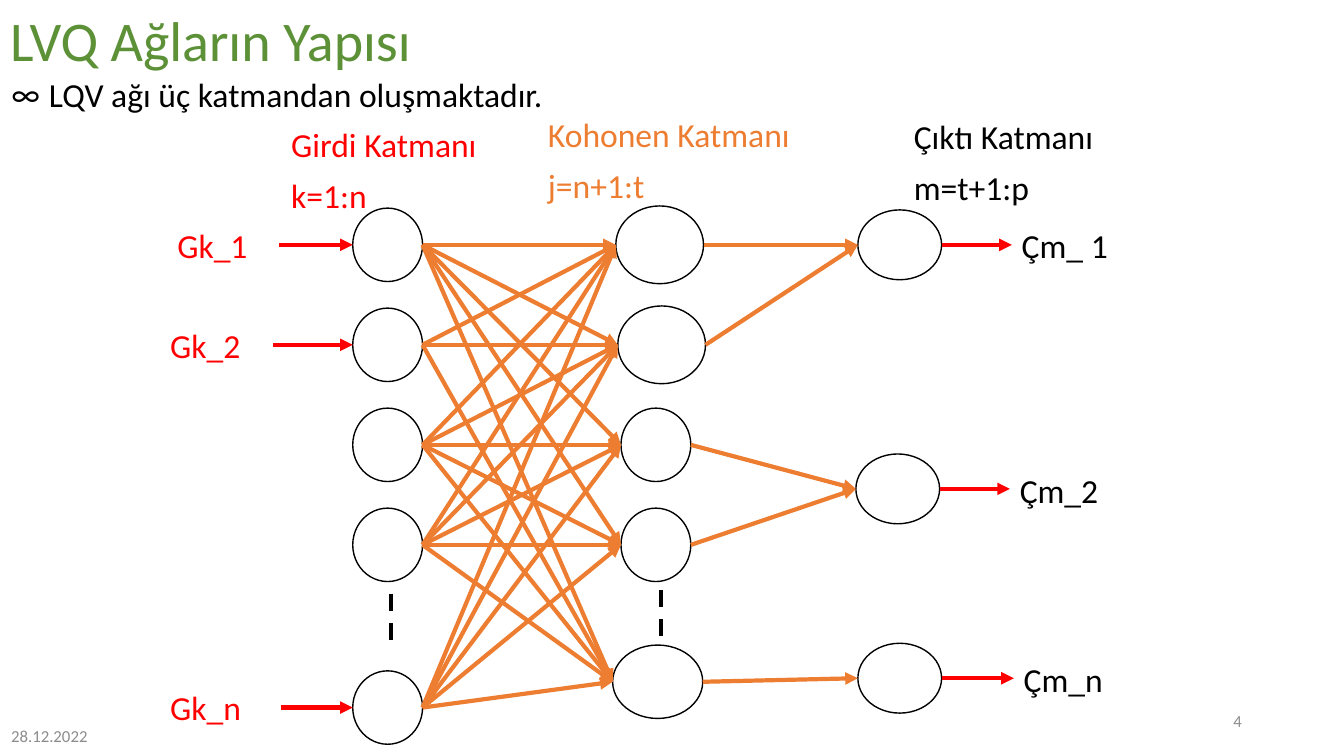
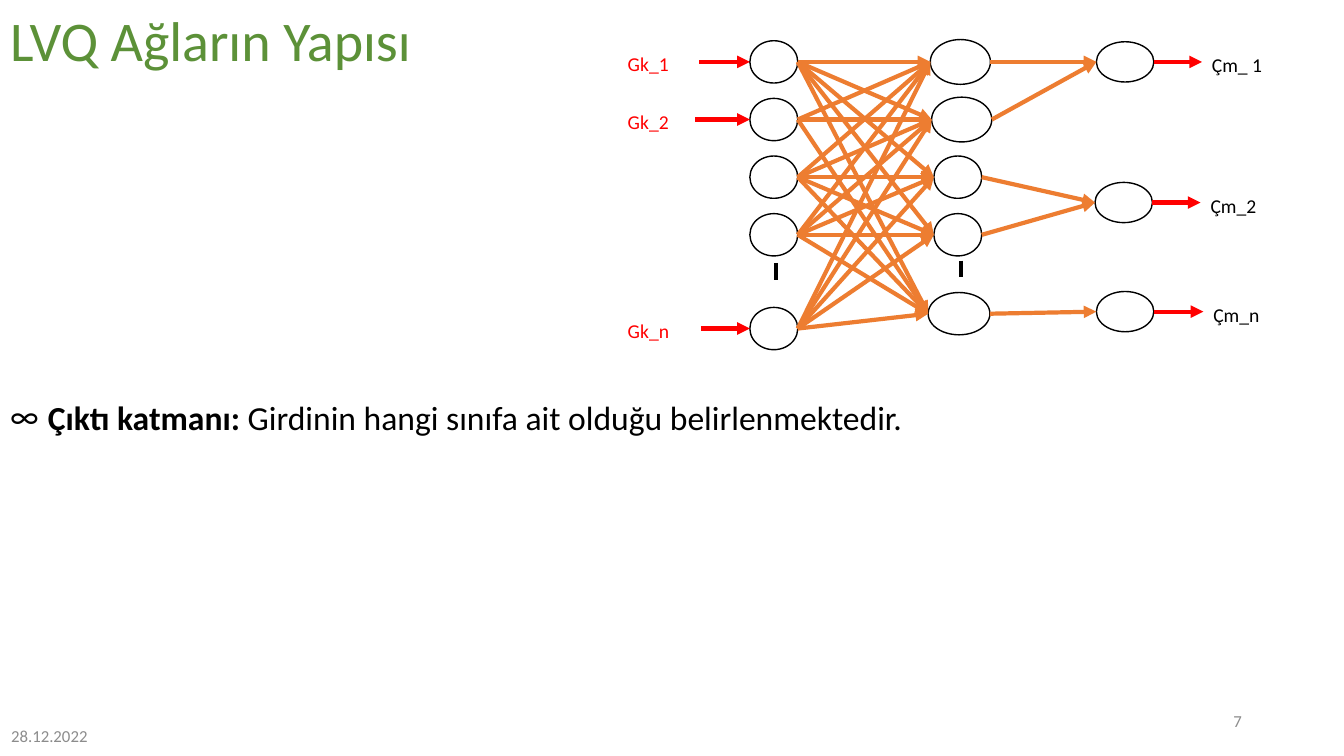
from dataclasses import dataclass
from itertools import product

from lxml.etree import SubElement
from pptx import Presentation
from pptx.dml.color import RGBColor as Rgb
from pptx.enum.dml import MSO_LINE as Dash
from pptx.enum.shapes import MSO_CONNECTOR as Link, MSO_SHAPE as Form
from pptx.enum.text import MSO_ANCHOR as Anchor, MSO_AUTO_SIZE as Fit, PP_ALIGN as Align
from pptx.oxml.ns import qn
from pptx.util import Cm, Pt


@dataclass(frozen=True)
class Theme:
    font: str = "Calibri"
    green: str = "5C9138"
    red: str = "FF0000"
    orange: str = "ED7D31"
    black: str = "000000"
    gray: str = "8C8C8C"
    title: int = 40
    body: int = 24
    small: int = 14
    foot: int = 12
    thick: int = 3
    thin: int = 1


@dataclass(frozen=True)
class Node:
    left: float
    mid: float
    width: float
    height: float

    @property
    def right(self):
        return self.left + self.width


T = Theme()
SIZE = (24.33, 13.57)
ROWS = [0.99 + 2.52 * row for row in range(4)]
INPUTS = [Node(4.85, mid, 1.76, 1.85) for mid in ROWS + [12.65]]
HIDDEN = [
    Node(11.48, ROWS[0], 2.21, 1.96),
    Node(11.53, ROWS[1], 2.21, 1.96),
    Node(11.61, ROWS[2], 1.76, 1.85),
    Node(11.61, ROWS[3], 1.76, 1.85),
    Node(11.4, 12, 2.27, 1.85),
]
OUTPUTS = [Node(x, mid, 2.11, 1.76) for x, mid in ((17.58, ROWS[0]), (17.53, 7.14), (17.58, 11.91))]
MERGE = (0, 0, 1, 1, 2)
ENTRY = ((0, "Gk_1", 3), (1, "Gk_2", 2.85), (4, "Gk_n", 3.05))
EXIT = ((0, "Çm_ 1", 21.46), (1, "Çm_2", 21.41), (2, "Çm_n", 21.51))
DOTS = ((5.82, 9.78), (12.62, 9.68))


def place(shape, box):
    shape.left, shape.top, shape.width, shape.height = map(Cm, box)


def write(par, text, size, color, bold=False):
    run = par.add_run()
    run.text = text
    font = run.font
    font.name, font.size, font.bold = T.font, Pt(size), bold
    font.color.rgb = Rgb.from_string(color)


def label(slide, box, lines, size, color, anchor=Anchor.TOP, align=Align.LEFT, pitch=0.9):
    frame = slide.shapes.add_textbox(*map(Cm, box)).text_frame
    frame.word_wrap = True
    frame.vertical_anchor = anchor
    for rank, line in enumerate(lines):
        par = frame.add_paragraph() if rank else frame.paragraphs[0]
        par.line_spacing = pitch
        par.space_before = Pt(10 if rank else 0)
        par.alignment = align
        write(par, line, size, color)


def stroke(slide, start, end, color, arrow=True):
    line = slide.shapes.add_connector(Link.STRAIGHT, *map(Cm, start + end))
    line.line.color.rgb = Rgb.from_string(color)
    line.line.width = Pt(T.thick)
    if arrow:
        SubElement(line.line._get_or_add_ln(), qn("a:tailEnd"), type="triangle")
    else:
        line.line.dash_style = Dash.DASH
    SubElement(line._element.spPr, qn("a:effectLst"))


def oval(slide, box):
    shape = slide.shapes.add_shape(Form.OVAL, *map(Cm, box))
    shape.shadow.inherit = False
    shape.fill.background()
    shape.line.color.rgb = Rgb.from_string(T.black)
    shape.line.width = Pt(T.thin)


def network(slide, box, size, lead=0):
    left, top, width, height = box
    wide, high = width / SIZE[0], height / SIZE[1]

    def spot(x, y):
        return left + x * wide, top + y * high

    def area(x, y, w, h):
        return spot(x, y) + (w * wide, h * high)

    def join(a, b):
        stroke(slide, spot(a.right, a.mid), spot(b.left, b.mid), T.orange)

    for node in INPUTS + HIDDEN + OUTPUTS:
        oval(slide, area(node.left, node.mid - node.height / 2, node.width, node.height))
    for a, b in product(INPUTS, HIDDEN):
        if (a, b) != (INPUTS[1], HIDDEN[2]) and (a, b) not in SKIP:
            join(a, b)
    for node, goal in zip(HIDDEN, MERGE):
        join(node, OUTPUTS[goal])
    for rank, text, x in ENTRY:
        node = INPUTS[rank]
        stroke(slide, spot(x, node.mid), spot(node.left, node.mid), T.red)
        shift = 0 if rank else lead
        label(slide, area(shift, node.mid - 0.52, 2.82, 1.07), [text], size, T.red)
    for rank, text, x in EXIT:
        node = OUTPUTS[rank]
        stroke(slide, spot(node.right, node.mid), spot(x, node.mid), T.red)
        label(slide, area(x, node.mid - 0.5, 2.82, 1.07), [text], size, T.black)
    for x, y in DOTS:
        stroke(slide, spot(x, y), spot(x, y + 1.28), T.black, False)


SKIP = [(INPUTS[1], HIDDEN[3])]


def base(deck, number, box, parts):
    slide = deck.slides.add_slide(deck.slide_layouts[0])
    title, body = slide.placeholders
    place(title, (0, 0, 22.78, 1.98))
    place(body, box)
    for shape, anchor in ((title, Anchor.BOTTOM), (body, Anchor.TOP)):
        frame = shape.text_frame
        frame.word_wrap, frame.auto_size = True, Fit.NONE
        frame.vertical_anchor = anchor
        par = frame.paragraphs[0]
        par.alignment, par.line_spacing = Align.LEFT, 0.9
        par.space_before = Pt(0)
    write(title.text_frame.paragraphs[0], "LVQ Ağların Yapısı", T.title, T.green)
    par = body.text_frame.paragraphs[0]
    props = par._p.get_or_add_pPr()
    props.set("marL", str(Cm(0.95)))
    props.set("indent", str(-Cm(0.95)))
    SubElement(props, qn("a:buFont"), typeface=T.font)
    SubElement(props, qn("a:buChar"), char="∞")
    for text, bold in parts:
        write(par, text, T.body, T.black, bold)
    label(slide, (0.03, 18.03, 3.02, 1.02), ["28.12.2022"], T.foot, T.gray, Anchor.MIDDLE, pitch=1)
    label(slide, (23.93, 17.65, 7.62, 1.02), [number], T.foot, T.gray, Anchor.MIDDLE, Align.RIGHT, 1)
    return slide


def layers(deck):
    slide = base(deck, "4", (0.03, 1.85, 32.33, 1.27), [("LQV ağı üç katmandan oluşmaktadır.", False)])
    network(slide, (4.04, 5.18, 24.33, 13.57), T.body, 0.18)
    heads = (
        ((7.09, 3.12, 6.48, 2.26), ["Girdi Katmanı", "k=1:n"], T.red),
        ((13.56, 2.87, 8.97, 2.01), ["Kohonen Katmanı", "j=n+1:t"], T.orange),
        ((22.78, 2.92, 6.48, 2.01), ["Çıktı Katmanı", "m=t+1:p"], T.black),
    )
    for box, lines, color in heads:
        label(slide, box, lines, T.body, color)


def output(deck):
    parts = [("Çıktı katmanı: ", True), ("Girdinin hangi sınıfa ait olduğu belirlenmektedir.", False)]
    slide = base(deck, "7", (0, 9.98, 33.32, 3.4), parts)
    network(slide, (15.57, 0.99, 16.69, 7.82), T.small)


def main():
    deck = Presentation()
    deck.slide_width, deck.slide_height = Cm(33.87), Cm(19.05)
    layers(deck)
    output(deck)
    deck.save("out.pptx")


if __name__ == "__main__":
    main()
